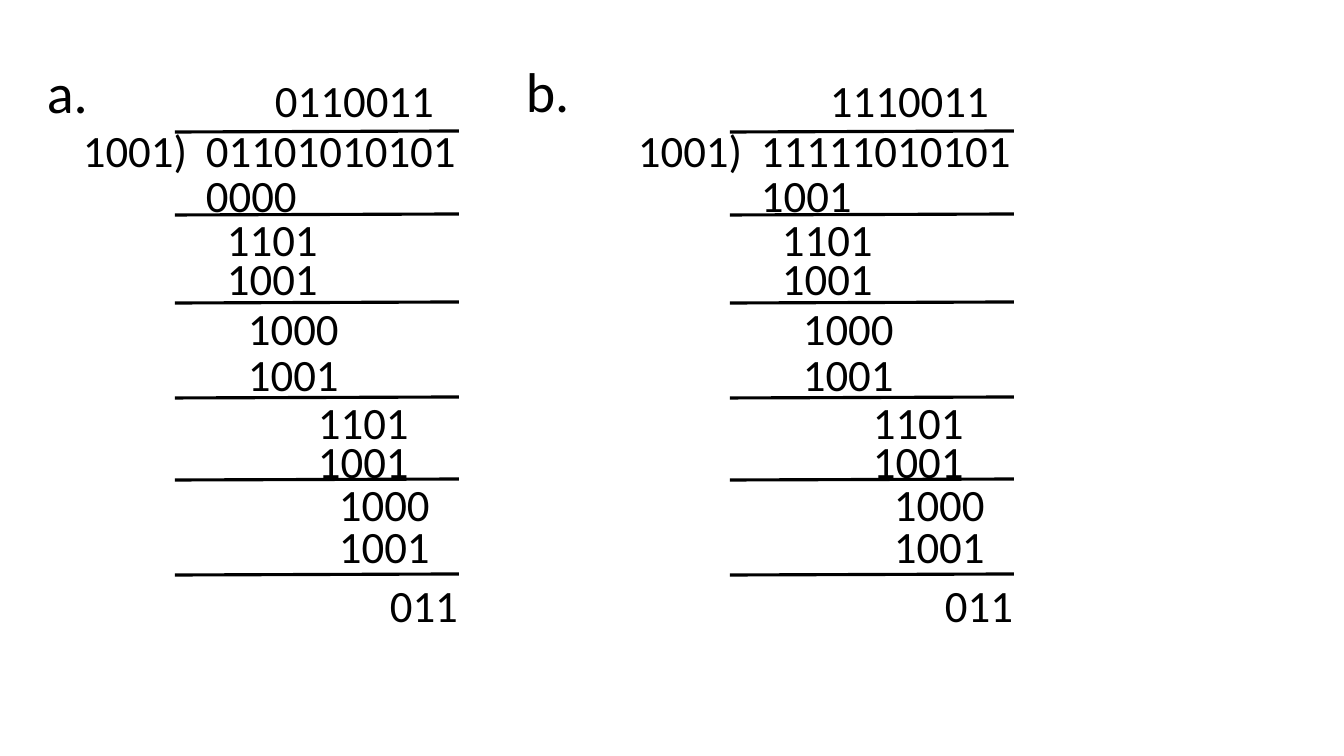
from collections import namedtuple

from lxml.etree import SubElement
from pptx import Presentation
from pptx.dml.color import RGBColor
from pptx.enum.shapes import MSO_CONNECTOR as Connector
from pptx.enum.text import MSO_AUTO_SIZE as AutoSize
from pptx.oxml.ns import qn
from pptx.util import Emu, Pt

SCALE = 914400 / 100.8
BLACK = RGBColor(0, 0, 0)
FONT = "Calibri"
DIGIT_SIZE, LABEL_SIZE = 32, 40
DIGIT_HEIGHT, LABEL_HEIGHT = 65, 78
RULE_LEFT, RULE_RIGHT = 102, 386
RULE_TOPS = (64, 147, 235, 330, 412, 507)
DIVIDEND_LEFT = 123
STEPS = (
    (144, 139, "1101"),
    (144, 178, "1001"),
    (165, 228, "1000"),
    (165, 274, "1001"),
    (235, 322, "1101"),
    (235, 361, "1001"),
    (256, 404, "1000"),
    (256, 446, "1001"),
    (307, 505, "011"),
)
Box = namedtuple("Box", "left top width height")


def px(length):
    """Turn pixels into EMU."""
    return Emu(round(length * SCALE))


def add_text(shapes, box, text, size):
    """Place one line of black text in a box."""
    text_box = shapes.add_textbox(*map(px, box))
    frame = text_box.text_frame
    frame.word_wrap = True
    frame.auto_size = AutoSize.SHAPE_TO_FIT_TEXT
    span = frame.paragraphs[0].add_run()
    span.text = text
    span.font.name = FONT
    span.font.size = Pt(size)
    span.font.color.rgb = BLACK


def add_rule(shapes, left, right, top):
    """Draw a rule that rises one pixel to the right."""
    rule = shapes.add_connector(
        Connector.STRAIGHT, px(left), px(top), px(right), px(top - 1))
    rule.line.color.rgb = BLACK
    rule.line.width = Pt(2.25)
    SubElement(rule._element.spPr, qn("a:effectLst"))


def add_division(page, box, quotient, dividend, first_product):
    """Write out a binary long division by 1001 inside a box."""
    shapes = page.shapes.add_group_shape().shapes
    rows = (
        (0, 50, 145, "1001)"),
        (DIVIDEND_LEFT, 50, 412, dividend),
        (192, 0, 296, quotient),
        (DIVIDEND_LEFT, 95, 412, first_product),
        *((left, top, 145, digits) for left, top, digits in STEPS),
    )
    for left, top, width, digits in rows:
        place = Box(box.left + left, box.top + top, width, DIGIT_HEIGHT)
        add_text(shapes, place, digits, DIGIT_SIZE)
    for top in RULE_TOPS:
        add_rule(shapes, box.left + RULE_LEFT, box.left + RULE_RIGHT, box.top + top)


def add_label(page, box, text):
    """Write the letter of an exercise part."""
    add_text(page.shapes, box, text, LABEL_SIZE)


def build_deck():
    """Create the slide with both divisions."""
    deck = Presentation()
    deck.slide_width, deck.slide_height = px(1344), px(756)
    page = deck.slides.add_slide(deck.slide_layouts[6])
    add_division(page, Box(73, 68, 535, 570), "0110011", "01101010101", "0000")
    add_label(page, Box(37, 53, 128, LABEL_HEIGHT), "a.")
    add_division(page, Box(628, 68, 535, 570), "1110011", "11111010101", "1001")
    add_label(page, Box(516, 52, 128, LABEL_HEIGHT), "b.")
    return deck


build_deck().save("out.pptx")
